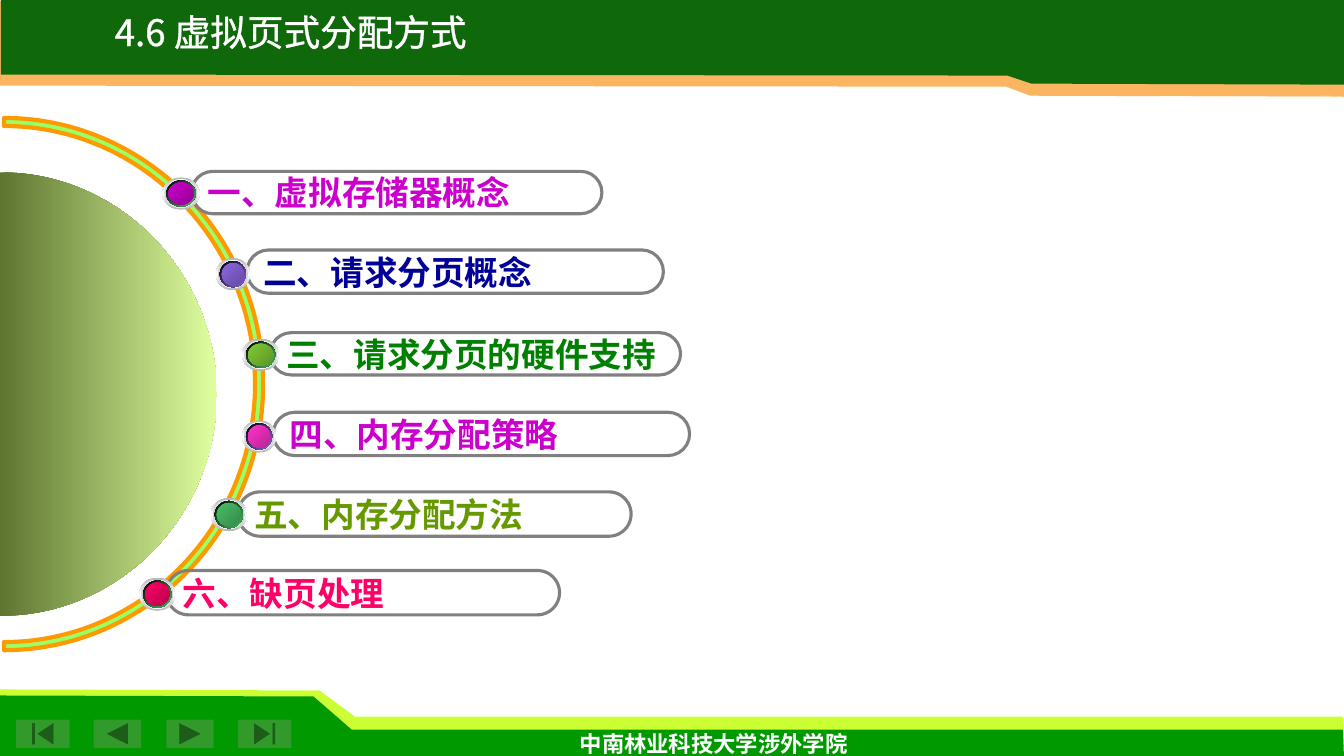
import pptx
import pptx.dml.color
import pptx.enum.shapes
import pptx.enum.text
import pptx.oxml
import pptx.oxml.ns
import pptx.util

Inches = pptx.util.Inches
Pt = pptx.util.Pt
RGBColor = pptx.dml.color.RGBColor
SHAPES = pptx.enum.shapes.MSO_SHAPE
ALIGN = pptx.enum.text.PP_ALIGN
ANCHOR = pptx.enum.text.MSO_ANCHOR
qn = pptx.oxml.ns.qn
NAMESPACE = pptx.oxml.ns.nsdecls("a")
CURVE_RATIO = 0.55

WHITE = RGBColor(0xFF, 0xFF, 0xFF)
BLACK = RGBColor(0, 0, 0)
GRAY = RGBColor(0x80, 0x80, 0x80)
RIM_GRAY = RGBColor(0xB6, 0xB6, 0xB6)
RING_GRAY = RGBColor(0xD1, 0xD1, 0xD1)
LIME = RGBColor(0xCC, 0xFF, 0x33)
GREEN = RGBColor(0, 0x99, 0)
BUTTON_GREEN = RGBColor(0x32, 0x9A, 0x2A)
DARK_GREEN = RGBColor(0x0F, 0x69, 0x0B)
PEACH = RGBColor(0xFB, 0xB5, 0x61)
ARC_GREEN = RGBColor(0x99, 0xFF, 0x66)
ORANGE = RGBColor(0xFF, 0x99, 0)
DISC_DARK = RGBColor(0x5E, 0x75, 0x30)
DISC_LIGHT = RGBColor(0xDF, 0xFF, 0x9F)
MAGENTA = RGBColor(0xCC, 0, 0xCC)
PLUM = RGBColor(0x95, 0, 0x95)
NAVY = RGBColor(0, 0, 0x99)
VIOLET = RGBColor(0x8D, 0x67, 0xE1)
DEEP_VIOLET = RGBColor(0x67, 0x4B, 0xA4)
TEXT_GREEN = RGBColor(0, 0x80, 0)
LEAF = RGBColor(0x80, 0xCB, 0x35)
DEEP_LEAF = RGBColor(0x5E, 0x94, 0x27)
PINK = RGBColor(0xFF, 0x33, 0xCC)
DEEP_PINK = RGBColor(0xBA, 0x25, 0x95)
OLIVE = RGBColor(0x66, 0x99, 0)
JADE = RGBColor(0x48, 0xBE, 0x67)
DEEP_JADE = RGBColor(0x35, 0x8B, 0x4B)
ROSE = RGBColor(0xFF, 0, 0x66)
DEEP_ROSE = RGBColor(0xBA, 0, 0x4B)

AGENDA = [
    ("三、请求分页的硬件支持 ", TEXT_GREEN, (2.68, 3.3, 4.07, 0.42), (2.4, 3.36, 0.37, 0.32), JADE, (LEAF, DEEP_LEAF)),
    ("四、内存分配策略 ", MAGENTA, (2.71, 4.09, 4.13, 0.43), (2.4, 4.17, 0.34, 0.32), VIOLET, (PINK, DEEP_PINK)),
    ("五、内存分配方法 ", OLIVE, (2.36, 4.88, 3.9, 0.44), (2.09, 4.94, 0.36, 0.33), JADE, (JADE, DEEP_JADE)),
    ("一、虚拟存储器概念 ", MAGENTA, (1.9, 1.7, 4.07, 0.42), (1.61, 1.76, 0.37, 0.32), JADE, (MAGENTA, PLUM)),
    ("二、请求分页概念", NAVY, (2.45, 2.48, 4.13, 0.43), (2.14, 2.56, 0.34, 0.32), VIOLET, (VIOLET, DEEP_VIOLET)),
    ("六、缺页处理 ", ROSE, (1.65, 5.66, 3.9, 0.44), (1.38, 5.73, 0.36, 0.33), JADE, (ROSE, DEEP_ROSE)),
]
BUTTONS = [
    (SHAPES.ACTION_BUTTON_BEGINNING, 0.16, 0.53),
    (SHAPES.ACTION_BUTTON_BACK_OR_PREVIOUS, 0.93, 0.47),
    (SHAPES.ACTION_BUTTON_FORWARD_OR_NEXT, 1.65, 0.47),
    (SHAPES.ACTION_BUTTON_END, 2.36, 0.53),
]
BANDS = [
    (LIME, [(0.01, 7.4), (13.33, 7.4), (13.32, 7.11), (3.52, 7.11), (3.17, 6.85), (0, 6.84)]),
    (GREEN, [(0, 7.53), (13.33, 7.51), (13.32, 7.24), (3.49, 7.24), (3.11, 6.91), (0, 6.9)]),
    (PEACH, [(13.33, 0.01), (0, 0.01), (0, 0.85), (9.98, 0.86), (10.22, 0.95), (13.33, 0.96)]),
    (DARK_GREEN, [(13.34, -0.03), (0.01, -0.03), (0.01, 0.74), (9.99, 0.75), (10.23, 0.83), (13.34, 0.84)]),
]
HIGHLIGHT = [(10.05, 0.96), (13.2, 0.95), (13.19, 1.01), (10.19, 1.01)]


def fill_solid(shape, color):
    shape.shadow.inherit = False
    shape.fill.solid()
    shape.fill.fore_color.rgb = color
    shape.line.fill.background()


def fill_gradient(shape, colors, angle):
    shape.shadow.inherit = False
    shape.line.fill.background()
    shape.fill.gradient()
    shape.fill.gradient_angle = (360 - angle) % 360
    stops = shape.element.spPr.find(".//" + qn("a:gsLst"))
    for stop in list(stops):
        stops.remove(stop)
    for index, color in enumerate(colors):
        position = 100000 * index // (len(colors) - 1)
        stops.append(pptx.oxml.parse_xml(
            f'<a:gs {NAMESPACE} pos="{position}"><a:srgbClr val="{color}"/></a:gs>'))


def add_preset(slide, kind, box):
    return slide.shapes.add_shape(kind, *map(Inches, box))


def add_outline(slide, points):
    vertices = [(Inches(x), Inches(y)) for x, y in points]
    builder = slide.shapes.build_freeform(*vertices[0])
    builder.add_line_segments(vertices[1:], close=True)
    return builder.convert_to_shape()


def add_curved_outline(slide, points):
    shape = add_outline(slide, points)
    local = [(Inches(x) - shape.left, Inches(y) - shape.top) for x, y in points]
    segments = list(shape.element.spPr.iter(qn("a:lnTo")))
    for segment, start, end in zip(segments, local, local[1:]):
        if start[0] == end[0]:
            continue
        corner = (max(start[0], end[0]), min(start, end)[1])
        controls = [tuple(round(a + CURVE_RATIO * (b - a)) for a, b in zip(point, corner))
                    for point in (start, end)]
        marks = "".join(f'<a:pt x="{x}" y="{y}"/>' for x, y in controls + [end])
        curve = pptx.oxml.parse_xml(f'<a:cubicBezTo {NAMESPACE}>{marks}</a:cubicBezTo>')
        segment.getparent().replace(segment, curve)
    return shape


def half_ellipse(left, center_y, radius_x, radius_y):
    return [(left, center_y - radius_y), (left + radius_x, center_y), (left, center_y + radius_y)]


def format_text(shape, text, size, font, color, bold, align, wrap):
    frame = shape.text_frame
    frame.word_wrap = wrap
    frame.text = text
    paragraph = frame.paragraphs[0]
    paragraph.alignment = align
    run_font = paragraph.runs[0].font
    run_font.size = Pt(size)
    run_font.name = font
    run_font.bold = bold
    run_font.color.rgb = color
    return paragraph


def add_label(slide, box, *text_format):
    label = slide.shapes.add_textbox(*map(Inches, box))
    return format_text(label, *text_format)


def add_highlight(slide):
    highlight = add_outline(slide, HIGHLIGHT)
    fill_solid(highlight, WHITE)
    color = highlight.element.spPr.find(qn("a:solidFill")).find(qn("a:srgbClr"))
    color.append(pptx.oxml.parse_xml(f'<a:alpha {NAMESPACE} val="30000"/>'))


def add_arc(slide):
    outer = half_ellipse(0.04, 3.81, 2.57, 2.64)
    inner = half_ellipse(0.04, 3.81, 2.49, 2.56)
    arc = add_curved_outline(slide, inner + outer[::-1])
    fill_solid(arc, ARC_GREEN)
    arc.line.color.rgb = ORANGE
    arc.line.width = Pt(3)


def add_pill(slide, box, text, color):
    pill = add_preset(slide, SHAPES.ROUNDED_RECTANGLE, box)
    pill.adjustments[0] = 0.5
    pill.shadow.inherit = False
    pill.fill.background()
    pill.line.color.rgb = GRAY
    pill.line.width = Pt(2.25)
    pill.text_frame.vertical_anchor = ANCHOR.MIDDLE
    format_text(pill, text, 24, "Arial", color, True, ALIGN.LEFT, False)


def add_bead(slide, box, edge_color, core_colors):
    left, top, width, height = box
    layers = [
        (0, 0, [RIM_GRAY, WHITE, RIM_GRAY], 90),
        (0.02, 0.02, [RING_GRAY, WHITE, RING_GRAY], 0),
        (0.04, 0.03, [BLACK, edge_color], 45),
        (0.06, 0.05, core_colors, 45),
    ]
    for inset_x, inset_y, colors, angle in layers:
        layer_box = (left + inset_x, top + inset_y, width - 2 * inset_x, height - 2 * inset_y)
        fill_gradient(add_preset(slide, SHAPES.OVAL, layer_box), colors, angle)


def add_title(slide):
    title = add_label(slide, (0.68, 0.13, 4.49, 0.46), "4.6 虚拟页式分配方式 ",
                      26.1, "Noto Sans CJK SC", WHITE, False, ALIGN.CENTER, False)
    title.line_spacing = 0.8
    title.runs[0].font._element.insert(0, pptx.oxml.parse_xml(
        f'<a:ln {NAMESPACE} w="{Pt(1.5)}"><a:solidFill><a:srgbClr val="{WHITE}"/></a:solidFill></a:ln>'))


def main():
    presentation = pptx.Presentation()
    presentation.slide_width = Inches(13.33)
    presentation.slide_height = Inches(7.5)
    slide = presentation.slides.add_slide(presentation.slide_layouts[6])
    for color, points in BANDS:
        fill_solid(add_outline(slide, points), color)
    for kind, left, width in BUTTONS:
        fill_solid(add_preset(slide, kind, (left, 7.14, width, 0.28)), BUTTON_GREEN)
    add_highlight(slide)
    add_label(slide, (4.86, 7.19, 4.44, 0.37), "中南林业科技大学涉外学院",
              16, "Lato", WHITE, True, ALIGN.CENTER, True)
    add_arc(slide)
    disc = add_curved_outline(slide, half_ellipse(0, 3.91, 2.15, 2.2))
    fill_gradient(disc, [DISC_DARK, DISC_LIGHT], 0)
    for text, color, pill_box, bead_box, edge_color, core_colors in AGENDA:
        add_pill(slide, pill_box, text, color)
        add_bead(slide, bead_box, edge_color, core_colors)
    add_title(slide)
    presentation.save("out.pptx")


main()
